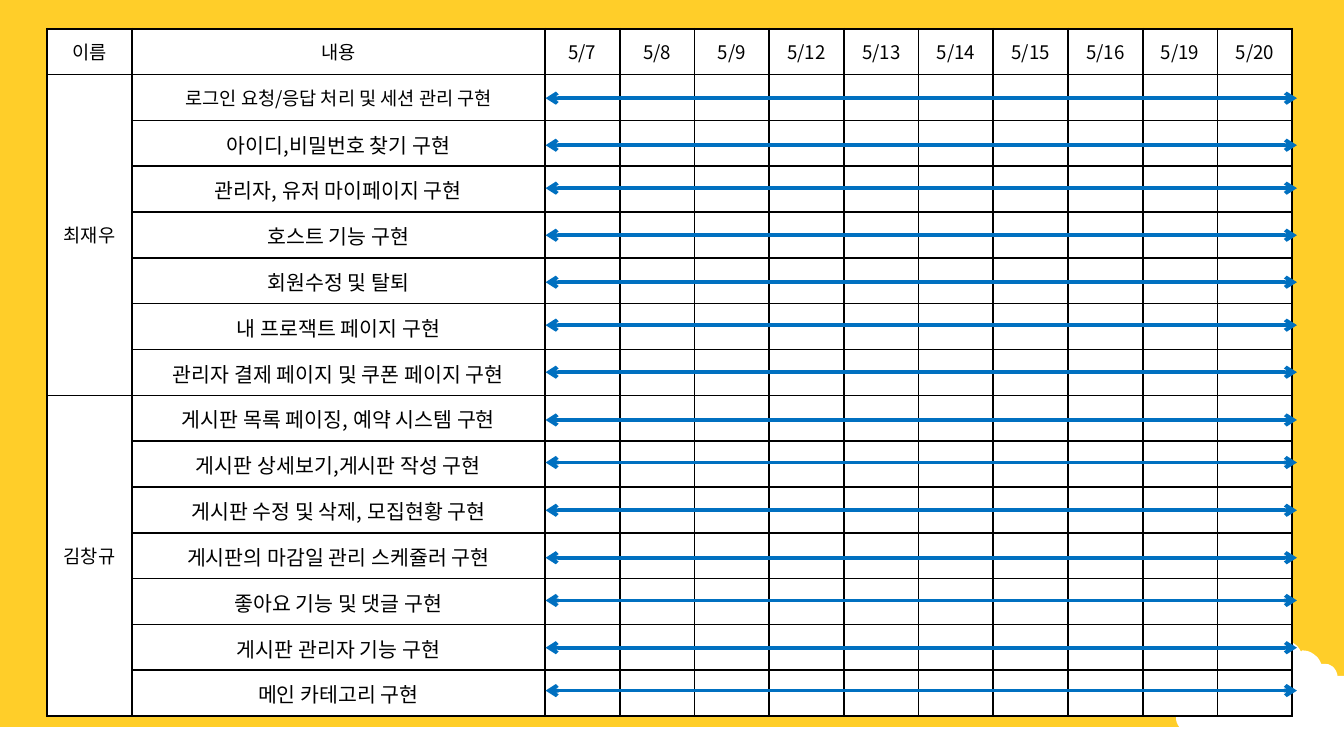
from lxml import etree
from pptx import Presentation
from pptx import util as u
from pptx.dml.color import RGBColor
from pptx.enum import shapes, text
from pptx.oxml.ns import qn

FONT = "Noto Sans CJK KR"
BLACK, WHITE, YELLOW, BLUE = "000000", "FFFFFF", "FFCE29", "0070C0"

DATES = ["5/7", "5/8", "5/9", "5/12", "5/13", "5/14", "5/15", "5/16", "5/19", "5/20"]

# Each member's tasks, with the height of the task's arrow in points
MEMBERS = [
    ("최재우", [
        ("로그인 요청/응답 처리 및 세션 관리 구현", 52.6),
        ("아이디,비밀번호 찾기 구현", 77.8),
        ("관리자, 유저 마이페이지 구현", 100.8),
        ("호스트 기능 구현", 126),
        ("회원수정 및 탈퇴", 151.2),
        ("내 프로잭트 페이지 구현", 174.2),
        ("관리자 결제 페이지 및 쿠폰 페이지 구현", 199.4),
    ]),
    ("김창규", [
        ("게시판 목록 페이징, 예약 시스템 구현", 225),
        ("게시판 상세보기,게시판 작성 구현", 247.8),
        ("게시판 수정 및 삭제, 모집현황 구현", 273.4),
        ("게시판의 마감일 관리 스케쥴러 구현", 298.8),
        ("좋아요 기능 및 댓글 구현", 321.7),
        ("게시판 관리자 기능 구현", 347),
        ("메인 카테고리 구현", 370),
    ]),
]

TABLE_LEFT, TABLE_TOP, ROW_HEIGHT = 25.2, 15.4, 24.57
COLUMN_WIDTHS = [45.5, 221.3] + [40.05] * len(DATES)
ARROW_LEFT, ARROW_RIGHT = 292.3, 694.8

# Cloud outline in tenths of a point: one point is a line, three are a curve
CLOUD_START = (6905, 3434)
CLOUD = [
    [(6926, 3442), (6948, 3456), (6962, 3478)],
    [(6970, 3492)],
    [(6977, 3485)],
    [(7020, 3485), (7063, 3514), (7078, 3557)],
    [(7099, 3557)],
    [(7128, 3557), (7157, 3578), (7164, 3614)],
    [(7164, 3622)],
    [(7200, 3622)],
    [(7200, 4032)],
    [(6624, 4032)],
    [(6509, 3982)],
    [(6379, 3924)],
    [(6336, 3924), (6300, 3888), (6300, 3845)],
    [(6300, 3802), (6336, 3766), (6379, 3766)],
    [(6401, 3773)],
    [(6401, 3694), (6451, 3643), (6523, 3643)],
    [(6646, 3607)],
    [(6689, 3521)],
    [(6696, 3478), (6739, 3442), (6782, 3442)],
]


def color(value):
    return RGBColor.from_string(value)


def paint(shape, value):
    shape.shadow.inherit = False
    shape.fill.solid()
    shape.fill.fore_color.rgb = color(value)
    shape.line.fill.background()


def curve_points(start, first, second, end, steps=10):
    points = []
    for step in range(1, steps + 1):
        t = step / steps
        weights = ((1 - t) ** 3, 3 * t * (1 - t) ** 2, 3 * t * t * (1 - t), t ** 3)
        corners = (start, first, second, end)
        points.append(tuple(sum(w * c[axis] for w, c in zip(weights, corners))
                            for axis in (0, 1)))
    return points


def add_cloud(slide):
    points, last = [], CLOUD_START
    for segment in CLOUD:
        points += curve_points(last, *segment) if len(segment) == 3 else segment
        last = segment[-1]
    builder = slide.shapes.build_freeform(*CLOUD_START, scale=u.Pt(0.1))
    builder.add_line_segments(points, close=True)
    paint(builder.convert_to_shape(), WHITE)


def add_ground(slide):
    ground = slide.shapes.add_shape(
        shapes.MSO_SHAPE.RECTANGLE, 0, u.Pt(389.5), u.Pt(720), u.Pt(15.5))
    paint(ground, WHITE)


def style_cell(cell):
    # Borders come before the fill in the cell properties
    properties = cell._tc.get_or_add_tcPr()
    for side in ("lnL", "lnR", "lnT", "lnB"):
        border = etree.SubElement(properties, qn(f"a:{side}"), w=str(u.Pt(1)))
        fill = etree.SubElement(border, qn("a:solidFill"))
        etree.SubElement(fill, qn("a:srgbClr"), val=BLACK)
    cell.fill.solid()
    cell.fill.fore_color.rgb = color(WHITE)
    cell.vertical_anchor = text.MSO_ANCHOR.MIDDLE
    # Small end mark, so that empty cells do not stretch their row
    etree.SubElement(cell.text_frame.paragraphs[0]._p, qn("a:endParaRPr"), sz="1000")


def write_cell(cell, words, size=10):
    para = cell.text_frame.paragraphs[0]
    para.add_run().text = words
    para.alignment = text.PP_ALIGN.CENTER
    para.font.size = u.Pt(size)
    para.font.color.rgb = color(BLACK)
    para.font.name = FONT
    defaults = para._p.pPr.find(qn("a:defRPr"))
    etree.SubElement(defaults, qn("a:ea"), typeface=FONT)


def add_schedule(slide):
    row_count = 1 + sum(len(tasks) for _, tasks in MEMBERS)
    table = slide.shapes.add_table(
        row_count, len(COLUMN_WIDTHS), u.Pt(TABLE_LEFT), u.Pt(TABLE_TOP),
        u.Pt(sum(COLUMN_WIDTHS)), u.Pt(ROW_HEIGHT * row_count)).table
    for column, width in zip(table.columns, COLUMN_WIDTHS):
        column.width = u.Pt(width)
    for row in table.rows:
        row.height = u.Pt(ROW_HEIGHT)
    for cell in table.iter_cells():
        style_cell(cell)

    # Header row
    for index, words in enumerate(["이름", "내용"] + DATES):
        write_cell(table.cell(0, index), words)

    # One merged name cell beside each member's tasks
    row = 1
    for name, tasks in MEMBERS:
        write_cell(table.cell(row, 0), name)
        table.cell(row, 0).merge(table.cell(row + len(tasks) - 1, 0))
        for task, _ in tasks:
            cell = table.cell(row, 1)
            write_cell(cell, task, 10 if row == 1 else 11)
            if row > 1:
                cell.margin_left = cell.margin_right = cell.margin_top = u.Pt(0.7)
                cell.margin_bottom = 0
            row += 1


def add_arrow(slide, y):
    arrow = slide.shapes.add_connector(
        shapes.MSO_CONNECTOR.STRAIGHT,
        u.Pt(ARROW_LEFT), u.Pt(y), u.Pt(ARROW_RIGHT), u.Pt(y))
    arrow.line.color.rgb = color(BLUE)
    arrow.line.width = u.Pt(2)
    line = arrow.line._get_or_add_ln()
    for end in ("headEnd", "tailEnd"):
        etree.SubElement(line, qn(f"a:{end}"), type="arrow")
    etree.SubElement(arrow._element.spPr, qn("a:effectLst"))


def main():
    deck = Presentation()
    deck.slide_width, deck.slide_height = u.Pt(720), u.Pt(405)
    slide = deck.slides.add_slide(deck.slide_layouts[6])

    # Backdrop
    slide.background.fill.solid()
    slide.background.fill.fore_color.rgb = color(YELLOW)
    add_ground(slide)
    add_cloud(slide)

    # Schedule
    add_schedule(slide)
    for _, tasks in MEMBERS:
        for _, y in tasks:
            add_arrow(slide, y)

    deck.save("out.pptx")


if __name__ == "__main__":
    main()
